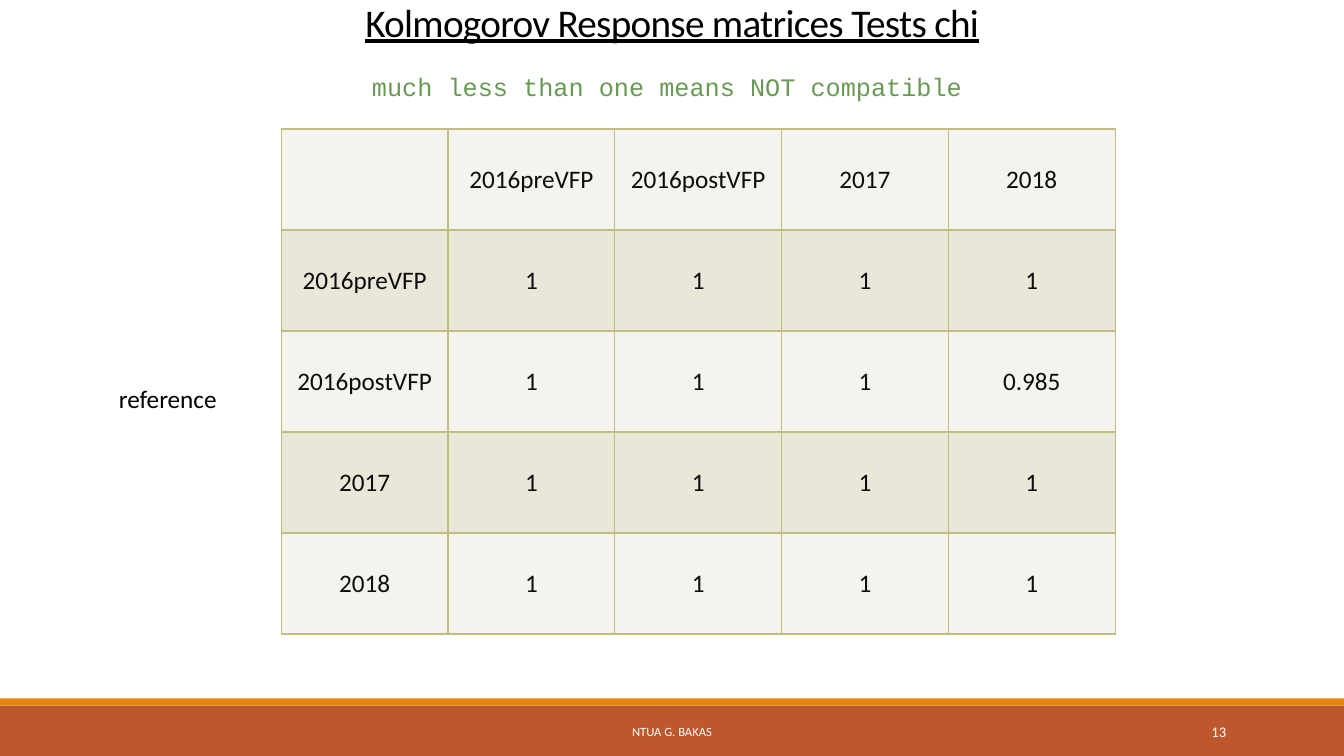
from dataclasses import dataclass

from lxml import etree
from pptx import Presentation
from pptx.dml.color import RGBColor
from pptx.enum import shapes, text
from pptx.oxml import ns
from pptx.util import Inches, Pt


@dataclass(frozen=True)
class Theme:
    body_font: str = "Calibri"
    code_font: str = "Courier New"
    title_size: float = 28
    body_size: float = 18
    number_size: float = 10.5
    footer_size: float = 9
    black: str = "000000"
    white: str = "FFFFFF"
    comment_green: str = "6A9955"
    footer_rust: str = "BD582C"
    footer_orange: str = "E48312"
    cell_text: str = "0D0D0D"
    cell_border: str = "C2BC80"
    row_fills: tuple = ("F4F3ED", "E9E7D8")


THEME = Theme()
SLIDE_WIDTH = 13.33
YEARS = ["2016preVFP", "2016postVFP", "2017", "2018"]
COMPATIBILITY = [
    ["1", "1", "1", "1"],
    ["1", "1", "1", "0.985"],
    ["1", "1", "1", "1"],
    ["1", "1", "1", "1"],
]


def style_paragraph(paragraph, size, color, align, font_name=THEME.body_font):
    paragraph.alignment = align
    font = paragraph.font
    for target in [font] + [run.font for run in paragraph.runs]:
        target.size = Pt(size)
        target.name = font_name
        target.color.rgb = RGBColor.from_string(color)


def add_bar(slide, top, height, color):
    bar = slide.shapes.add_shape(
        shapes.MSO_SHAPE.RECTANGLE,
        Inches(0), Inches(top), Inches(SLIDE_WIDTH), Inches(height))
    bar.shadow.inherit = False
    bar.fill.solid()
    bar.fill.fore_color.rgb = RGBColor.from_string(color)
    bar.line.fill.background()


def add_label(slide, box, words, size, color, align=text.PP_ALIGN.CENTER,
              anchor=text.MSO_ANCHOR.TOP, font_name=THEME.body_font, wrap=True):
    """Add a one-line text box and return its paragraph."""
    label = slide.shapes.add_textbox(*(Inches(length) for length in box))
    frame = label.text_frame
    frame.text = words
    frame.word_wrap = wrap
    frame.vertical_anchor = anchor
    paragraph = frame.paragraphs[0]
    style_paragraph(paragraph, size, color, align, font_name)
    return paragraph


def add_title(slide, box, words):
    paragraph = add_label(slide, box, words, THEME.title_size, THEME.black,
                          anchor=text.MSO_ANCHOR.BOTTOM)
    paragraph.line_spacing = 0.85
    run = paragraph.runs[0]
    run.font.underline = True
    run._r.get_or_add_rPr().set("spc", "-50")


def add_cell_borders(cell, color, width):
    properties = cell._tc.get_or_add_tcPr()
    for side in ("lnL", "lnR", "lnT", "lnB"):
        line = etree.SubElement(properties, ns.qn(f"a:{side}"), w=str(Pt(width)))
        fill = etree.SubElement(line, ns.qn("a:solidFill"))
        etree.SubElement(fill, ns.qn("a:srgbClr"), val=color)


def add_matrix(slide, box, names, values):
    """Add a square table with the names along the top and the left side."""
    rows = [["", *names]] + [[name, *row] for name, row in zip(names, values)]
    table = slide.shapes.add_table(
        len(rows), len(rows[0]), *(Inches(length) for length in box)).table
    for row_index, row in enumerate(rows):
        row_fill = THEME.row_fills[row_index % 2]
        for column_index, words in enumerate(row):
            cell = table.cell(row_index, column_index)
            cell.text_frame.text = words
            cell.vertical_anchor = text.MSO_ANCHOR.MIDDLE
            style_paragraph(cell.text_frame.paragraphs[0], THEME.body_size,
                            THEME.cell_text, text.PP_ALIGN.CENTER)
            add_cell_borders(cell, THEME.cell_border, 1)
            cell.fill.solid()
            cell.fill.fore_color.rgb = RGBColor.from_string(row_fill)


def add_footer(slide, author, number):
    add_bar(slide, 7, 0.5, THEME.footer_rust)
    add_bar(slide, 6.93, 0.07, THEME.footer_orange)
    add_label(slide, (4.03, 7.06, 5.27, 0.4), author, THEME.footer_size,
              THEME.white, anchor=text.MSO_ANCHOR.MIDDLE)
    add_label(slide, (10.83, 7.06, 1.43, 0.4), number, THEME.number_size,
              THEME.white, text.PP_ALIGN.RIGHT, text.MSO_ANCHOR.MIDDLE)


def main():
    presentation = Presentation()
    presentation.slide_width = Inches(SLIDE_WIDTH)
    presentation.slide_height = Inches(7.5)
    slide = presentation.slides.add_slide(presentation.slide_layouts[6])

    add_footer(slide, "NTUA G. BAKAS", "13")
    add_title(slide, (0.91, -0.03, 11.51, 0.53),
              "Kolmogorov Response matrices Tests chi")
    add_label(slide, (3.59, 0.66, 6.15, 0.4),
              "much less than one means NOT compatible", THEME.body_size,
              THEME.comment_green, text.PP_ALIGN.LEFT,
              font_name=THEME.code_font, wrap=False)
    add_matrix(slide, (2.79, 1.28, 8.27, 5.01), YEARS, COMPATIBILITY)
    add_label(slide, (0.73, 3.75, 1.87, 0.4), "reference", THEME.body_size,
              THEME.black)

    presentation.save("out.pptx")


if __name__ == "__main__":
    main()
